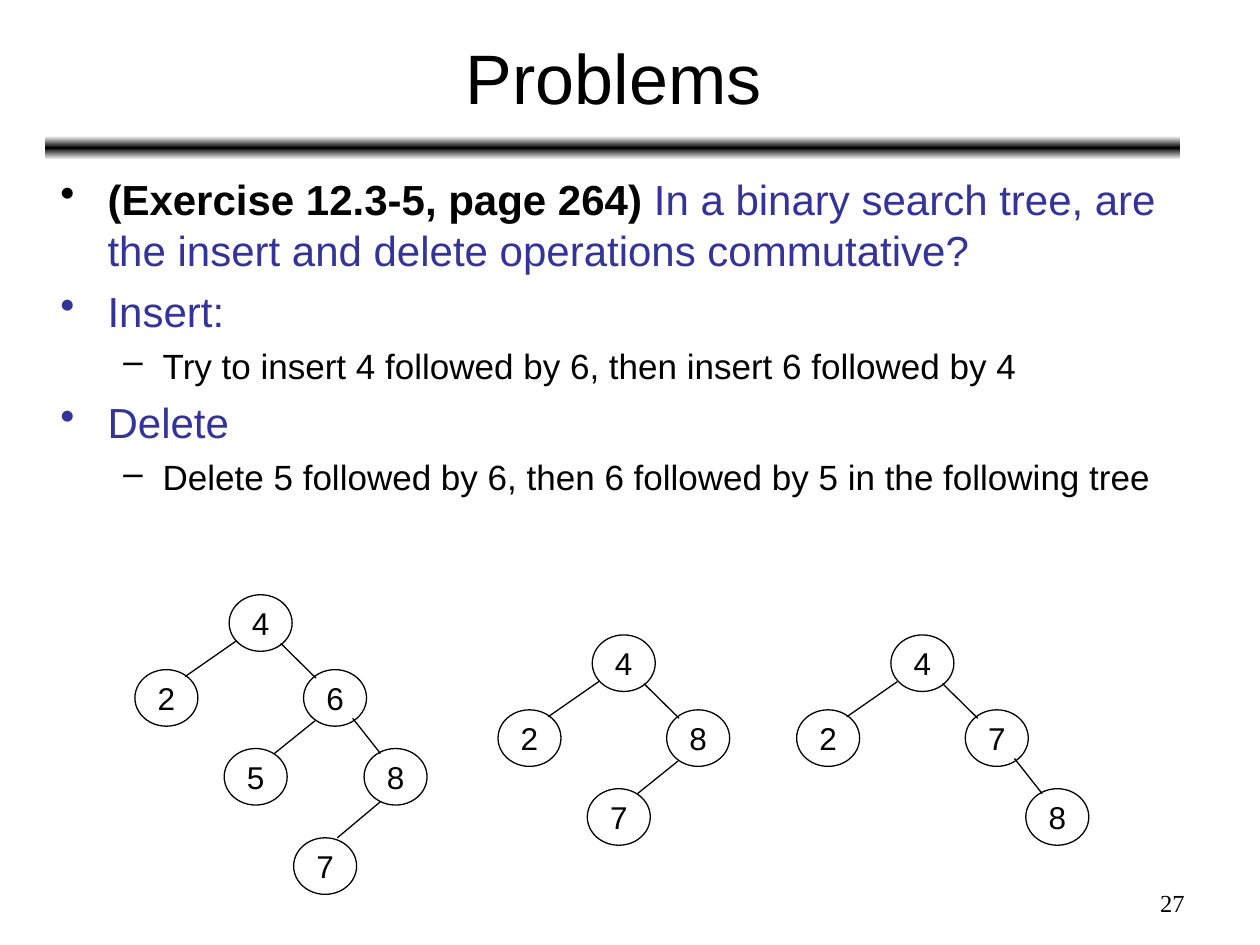
from copy import deepcopy

from pptx import Presentation
from pptx import util as u
from pptx.dml.color import RGBColor
from pptx.enum import shapes, text
from pptx.oxml import ns, xmlchemy

BLACK, WHITE, BLUE = "000000", "FFFFFF", "333399"
NODE_SIZE = (1.27, 1.14)

# Tree slots, in cm from the top left of the root:
# node position, then start and end of the edge to its parent
SLOTS = {
    "root": ((0, 0), None),
    "left": ((-1.9, 1.51), ((0.13, 0.94), (-0.89, 1.65))),
    "right": ((1.5, 1.51), ((1.04, 0.98), (1.75, 1.68))),
    "right-left": ((-0.1, 3.1), ((1.73, 2.54), (0.91, 3.2))),
    "right-right": ((2.72, 3.1), ((2.49, 2.49), (3.05, 3.2))),
    "deepest": ((1.3, 4.9), ((3.05, 4.17), (2.18, 4.9))),
}

# Root position and the keys by slot
TREES = [
    ((4.62, 11.99), {"root": "4", "left": "2", "right": "6",
                     "right-left": "5", "right-right": "8", "deepest": "7"}),
    ((11.94, 12.8), {"root": "4", "left": "2", "right": "8", "right-left": "7"}),
    ((17.96, 12.8), {"root": "4", "left": "2", "right": "7", "right-right": "8"}),
]

# Outline level, then the spans with their colour and weight
BODY = [
    (0, [("(Exercise 12.3-5, page 264)", BLACK, True),
         (" In a binary search tree, are the insert and delete operations commutative?",
          BLUE, False)]),
    (0, [("Insert:", BLUE, False)]),
    (1, [("Try to insert 4 followed by 6, then insert 6 followed by 4", BLACK, False)]),
    (0, [("Delete", BLUE, False)]),
    (1, [("Delete 5 followed by 6, then 6 followed by 5 in the following tree",
          BLACK, False)]),
]
LEVELS = [
    {"bullet": "•", "margin": 0.95, "hang": 0.95, "size": 24, "before": 6},
    {"bullet": "–", "margin": 2.06, "hang": 0.79, "size": 20, "before": 5},
]


def color(value):
    return RGBColor.from_string(value)


def cm(*values):
    return [u.Cm(value) for value in values]


def apply(target, values):
    for name, value in values.items():
        setattr(target, name, value)


def add_span(para, words, size, tint=BLACK, bold=False, font="Arial"):
    span = para.add_run()
    span.text = words
    apply(span.font, {"name": font, "size": u.Pt(size), "bold": bold})
    span.font.color.rgb = color(tint)


def add_text_box(page, area, anchor=text.MSO_ANCHOR.TOP):
    frame = page.shapes.add_textbox(*cm(*area)).text_frame
    apply(frame, {"word_wrap": True, "vertical_anchor": anchor})
    return frame


def add_label(page, area, words, size, align, anchor, font="Arial"):
    para = add_text_box(page, area, anchor).paragraphs[0]
    para.alignment = align
    add_span(para, words, size, font=font)


def add_bullet(para, level, tint):
    props = para._p.get_or_add_pPr()
    props.set("marL", str(u.Cm(level["margin"])))
    props.set("indent", str(-u.Cm(level["hang"])))
    bullet_color = xmlchemy.OxmlElement("a:buClr")
    bullet_color.append(xmlchemy.OxmlElement("a:srgbClr"))
    bullet_color[0].set("val", tint)
    mark = xmlchemy.OxmlElement("a:buChar")
    mark.set("char", level["bullet"])
    props.extend([bullet_color, mark])


def add_body(page, area):
    frame = add_text_box(page, area)
    for index, (depth, spans) in enumerate(BODY):
        para = frame.add_paragraph() if index else frame.paragraphs[0]
        level = LEVELS[depth]
        add_bullet(para, level, spans[0][1])
        apply(para, {"level": depth,
                     "space_before": u.Pt(level["before"] if index else 0)})
        for words, tint, bold in spans:
            add_span(para, words, level["size"], tint, bold)


def add_band(page, area):
    band = page.shapes.add_shape(shapes.MSO_SHAPE.ROUNDED_RECTANGLE, *cm(*area))
    band.shadow.inherit = False
    band.line.fill.background()
    band.fill.gradient()
    band.fill.gradient_angle = 90
    stop_list = band._element.spPr.find(".//" + ns.qn("a:gsLst"))
    stop_list.append(deepcopy(stop_list[-1]))
    for stop, position, tint in zip(band.fill.gradient_stops, (0, 0.5, 1),
                                    (WHITE, BLACK, WHITE)):
        stop.position = position
        stop.color.rgb = color(tint)


def set_outline(shape):
    shape.line.width = u.Pt(0.75)
    shape.line.color.rgb = color(BLACK)


def add_node(group, left, top, key):
    node = group.shapes.add_shape(shapes.MSO_SHAPE.OVAL, *cm(left, top, *NODE_SIZE))
    node.shadow.inherit = False
    node.fill.background()
    set_outline(node)
    apply(node.text_frame, {"word_wrap": False,
                            "vertical_anchor": text.MSO_ANCHOR.MIDDLE})
    para = node.text_frame.paragraphs[0]
    para.alignment = text.PP_ALIGN.CENTER
    add_span(para, key, 18)


def add_edge(group, start, end):
    edge = group.shapes.add_connector(shapes.MSO_CONNECTOR.STRAIGHT, *cm(*start, *end))
    set_outline(edge)
    edge._element.spPr.append(xmlchemy.OxmlElement("a:effectLst"))


def add_tree(page, root, keys):
    group = page.shapes.add_group_shape()

    def place(offset):
        return root[0] + offset[0], root[1] + offset[1]

    for slot, key in keys.items():
        position, edge = SLOTS[slot]
        add_node(group, *place(position), key)
        if edge:
            add_edge(group, place(edge[0]), place(edge[1]))


def main():
    deck = Presentation()
    apply(deck, {"slide_width": u.Cm(25.4), "slide_height": u.Cm(19.05)})
    page = deck.slides.add_slide(deck.slide_layouts[6])

    # Title and the band under it
    add_band(page, (0.91, 2.74, 22.89, 0.48))
    add_label(page, (0.94, 0.28, 22.86, 2.51), "Problems", 40,
              text.PP_ALIGN.CENTER, text.MSO_ANCHOR.MIDDLE)

    # Exercise text
    add_body(page, (0.97, 3.38, 22.86, 7.98))

    # Search trees
    for root, keys in TREES:
        add_tree(page, root, keys)

    # Page number
    add_label(page, (18.21, 17.78, 5.92, 0.89), "27", 14,
              text.PP_ALIGN.RIGHT, text.MSO_ANCHOR.TOP, "Times New Roman")

    deck.save("out.pptx")


if __name__ == "__main__":
    main()
